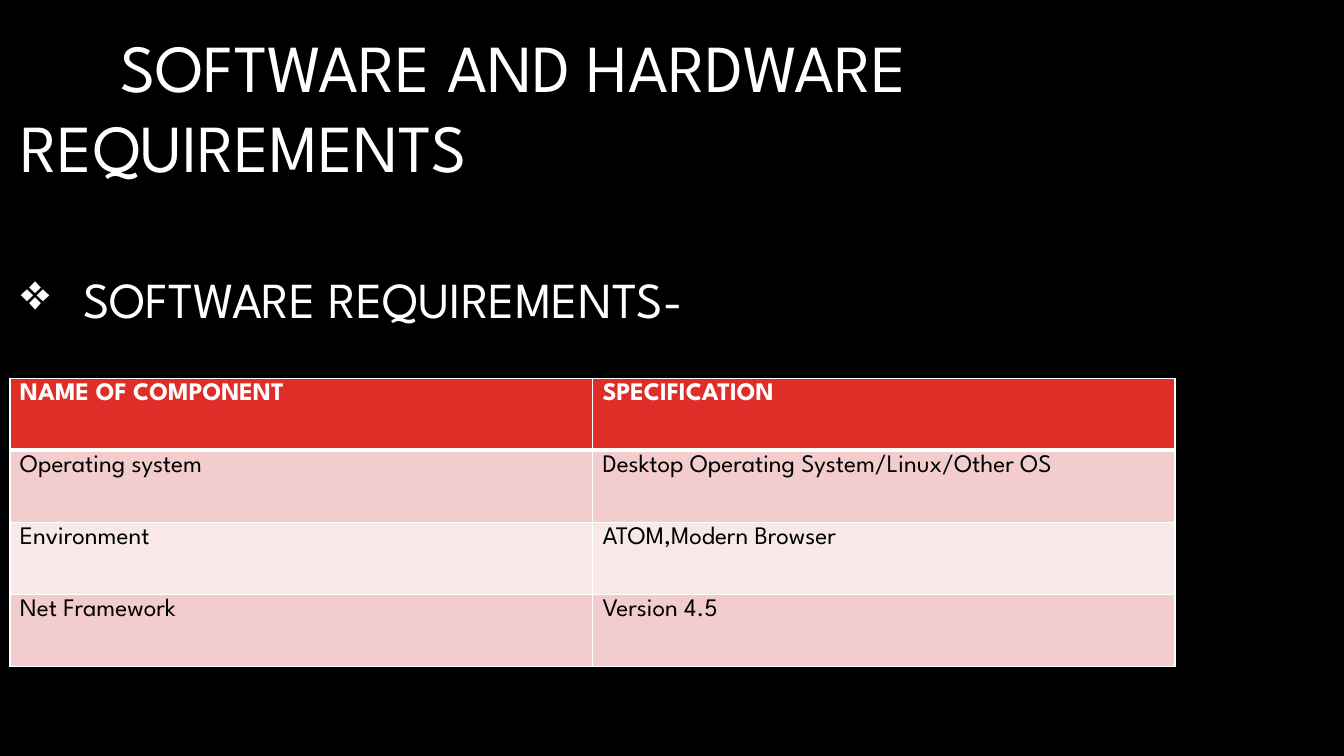
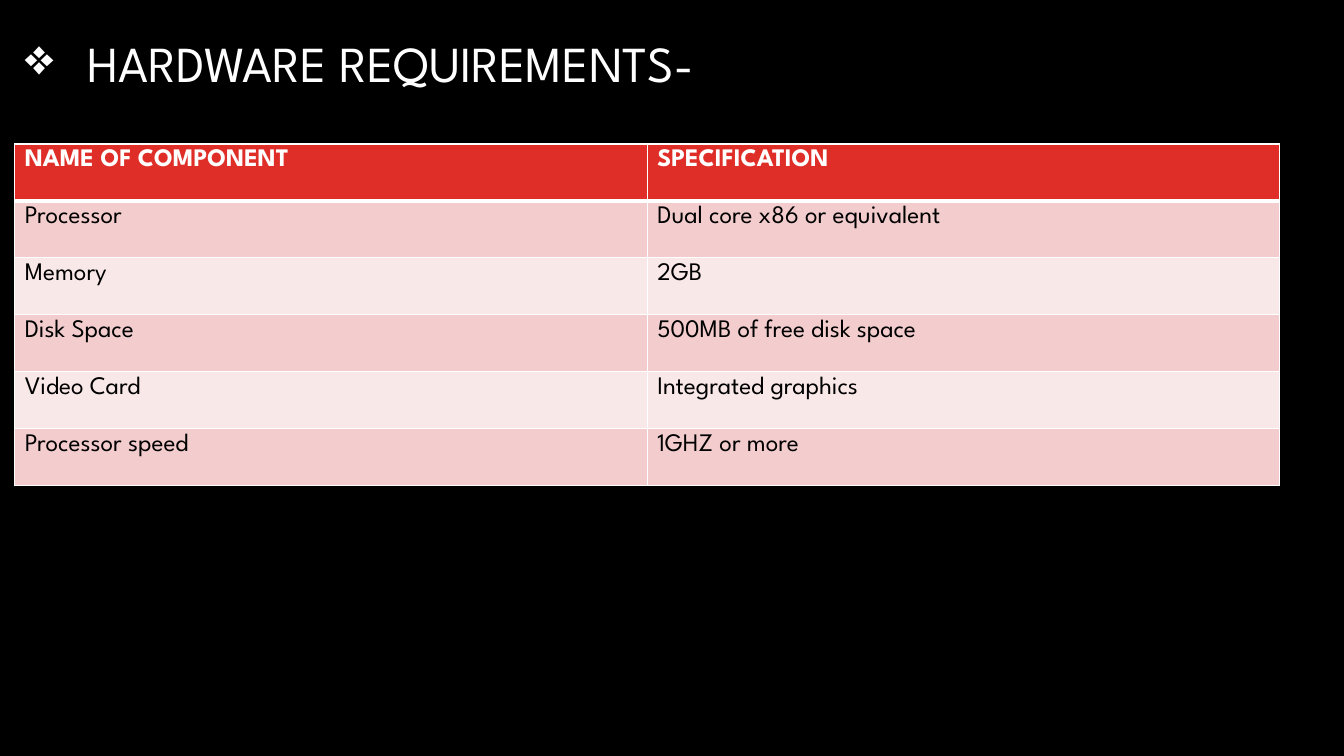
from lxml import etree
from pptx import Presentation
from pptx.dml.color import RGBColor
from pptx.oxml.ns import qn
from pptx.util import Cm, Pt

FONT = "League Spartan"
BLACK, WHITE, RED = "000000", "FFFFFF", "DF2E28"
BANDS = ("F3CDCD", "F9E8E8")
BULLET = "❖"
BULLET_INDENT = 1.57
HEADER = ("NAME OF COMPONENT", "SPECIFICATION")

# Paragraph kinds
TITLE = {"size": 48, "indent": 2.5}
HEADING = {"size": 36, "bullet": True}

# Content: places are left, top, width, height in centimetres
PAGES = [
    {
        "text_at": (0.28, 0.51, 33.35, 12.32),
        "text": [
            ("SOFTWARE AND HARDWARE REQUIREMENTS", TITLE),
            ("SOFTWARE REQUIREMENTS-", {**HEADING, "before": 58}),
        ],
        "table_at": (0.25, 9.53, 29.36, 7.26),
        "rows": [
            ("Operating system", "Desktop Operating System/Linux/Other OS"),
            ("Environment", "ATOM,Modern Browser"),
            ("Net Framework", "Version 4.5"),
        ],
    },
    {
        "text_at": (0.38, 0.69, 33.22, 3.33),
        "text": [("HARDWARE REQUIREMENTS-", HEADING)],
        "table_at": (0.37, 3.63, 31.88, 8.61),
        "rows": [
            ("Processor", "Dual core x86 or equivalent"),
            ("Memory", "2GB"),
            ("Disk Space", "500MB of free disk space"),
            ("Video Card", "Integrated graphics"),
            ("Processor speed", "1GHZ or more"),
        ],
    },
]


def color(value):
    return RGBColor.from_string(value)


def write(para, text, size, ink, bold=False):
    span = para.add_run()
    span.text = text
    formats = {"name": FONT, "size": Pt(size), "bold": bold}
    for name, value in formats.items():
        setattr(span.font, name, value)
    span.font.color.rgb = color(ink)


def set_indent(para, first, left=0):
    properties = para._p.get_or_add_pPr()
    properties.set("marL", str(Cm(left)))
    properties.set("indent", str(Cm(first)))
    return properties


def add_text(page, place, paragraphs):
    box = page.shapes.add_textbox(*map(Cm, place))
    frame = box.text_frame
    frame.word_wrap = True
    for index, (text, style) in enumerate(paragraphs):
        para = frame.add_paragraph() if index else frame.paragraphs[0]
        if style.get("bullet"):
            properties = set_indent(para, -BULLET_INDENT, BULLET_INDENT)
            etree.SubElement(properties, qn("a:buChar"), char=BULLET)
        else:
            set_indent(para, style["indent"])
        if "before" in style:
            para.space_before = Pt(style["before"])
        write(para, text, style["size"], WHITE)


def set_borders(cell, widths):
    properties = cell._tc.get_or_add_tcPr()
    for side, width in widths.items():
        line = etree.SubElement(properties, qn("a:ln" + side), w=str(Pt(width)))
        fill = etree.SubElement(line, qn("a:solidFill"))
        etree.SubElement(fill, qn("a:srgbClr"), val=WHITE)


def add_table(page, place, body):
    rows = [HEADER, *body]
    left, top, width, height = place
    table = page.shapes.add_table(
        len(rows), len(HEADER), *map(Cm, place)).table
    for column in table.columns:
        column.width = Cm(width / len(HEADER))
    for index, texts in enumerate(rows):
        table.rows[index].height = Cm(height / len(rows))
        is_header = index == 0
        fill = RED if is_header else BANDS[(index - 1) % 2]
        # A thicker rule parts the header from the body
        widths = {"L": 1, "R": 1,
                  "T": 3 if index == 1 else 1, "B": 3 if is_header else 1}
        for cell, text in zip(table.rows[index].cells, texts):
            set_borders(cell, widths)
            cell.fill.solid()
            cell.fill.fore_color.rgb = color(fill)
            write(cell.text_frame.paragraphs[0], text, 18,
                  WHITE if is_header else BLACK, is_header)


def main():
    deck = Presentation()
    deck.slide_width, deck.slide_height = Cm(33.87), Cm(19.05)

    # Shared black background
    background = deck.slide_master.background.fill
    background.solid()
    background.fore_color.rgb = color(BLACK)

    for content in PAGES:
        page = deck.slides.add_slide(deck.slide_layouts[6])
        add_text(page, content["text_at"], content["text"])
        add_table(page, content["table_at"], content["rows"])
    deck.save("out.pptx")


if __name__ == "__main__":
    main()
